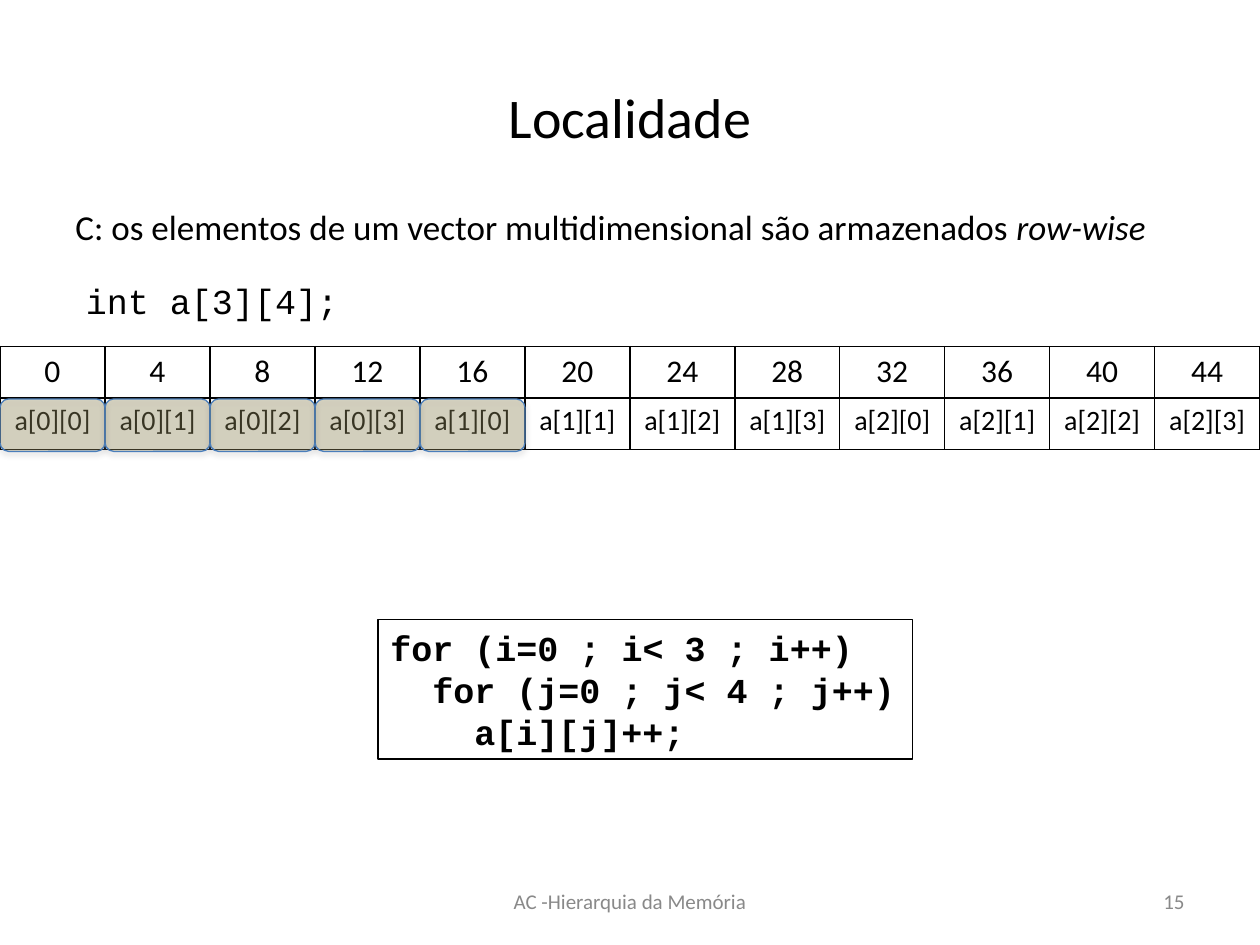
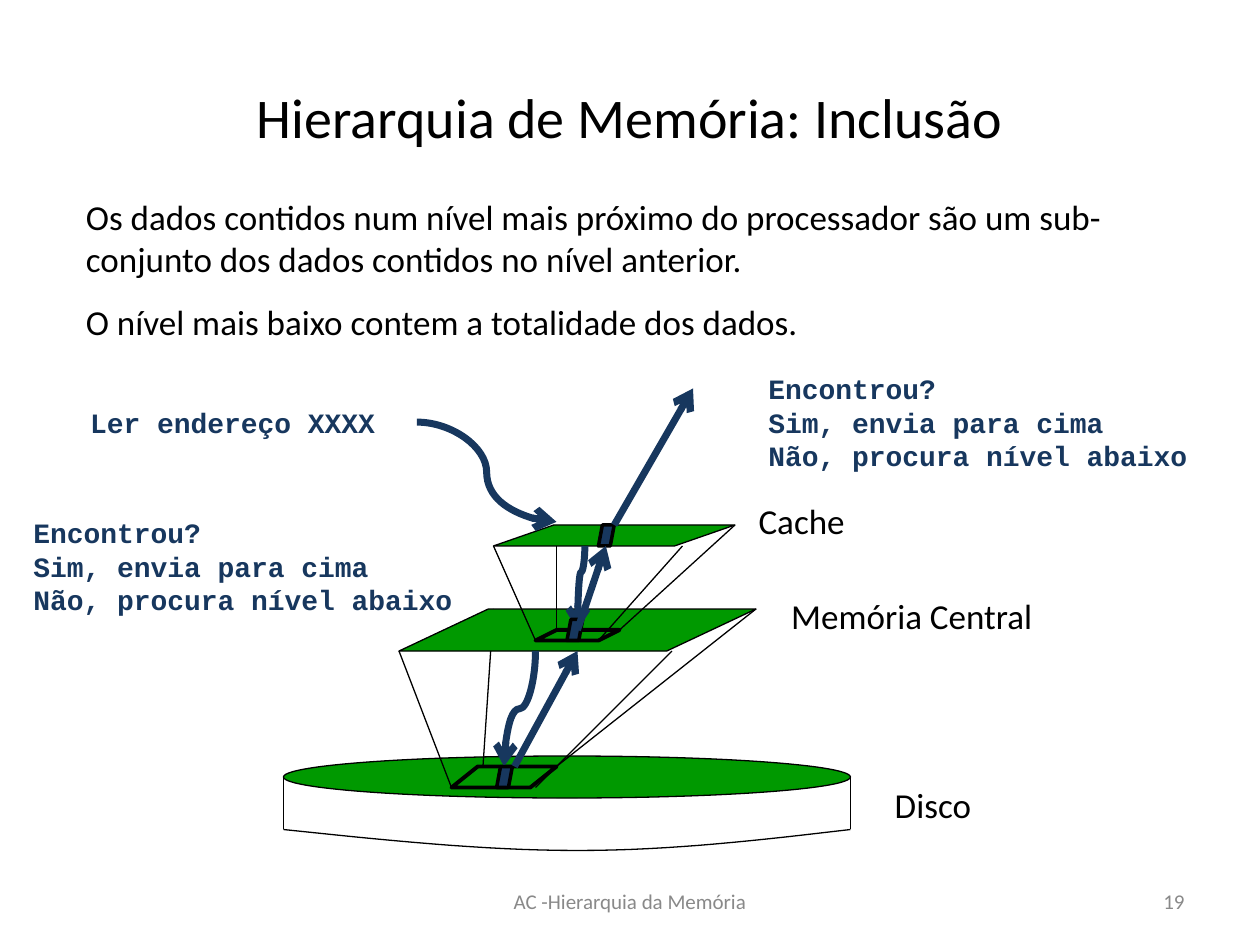
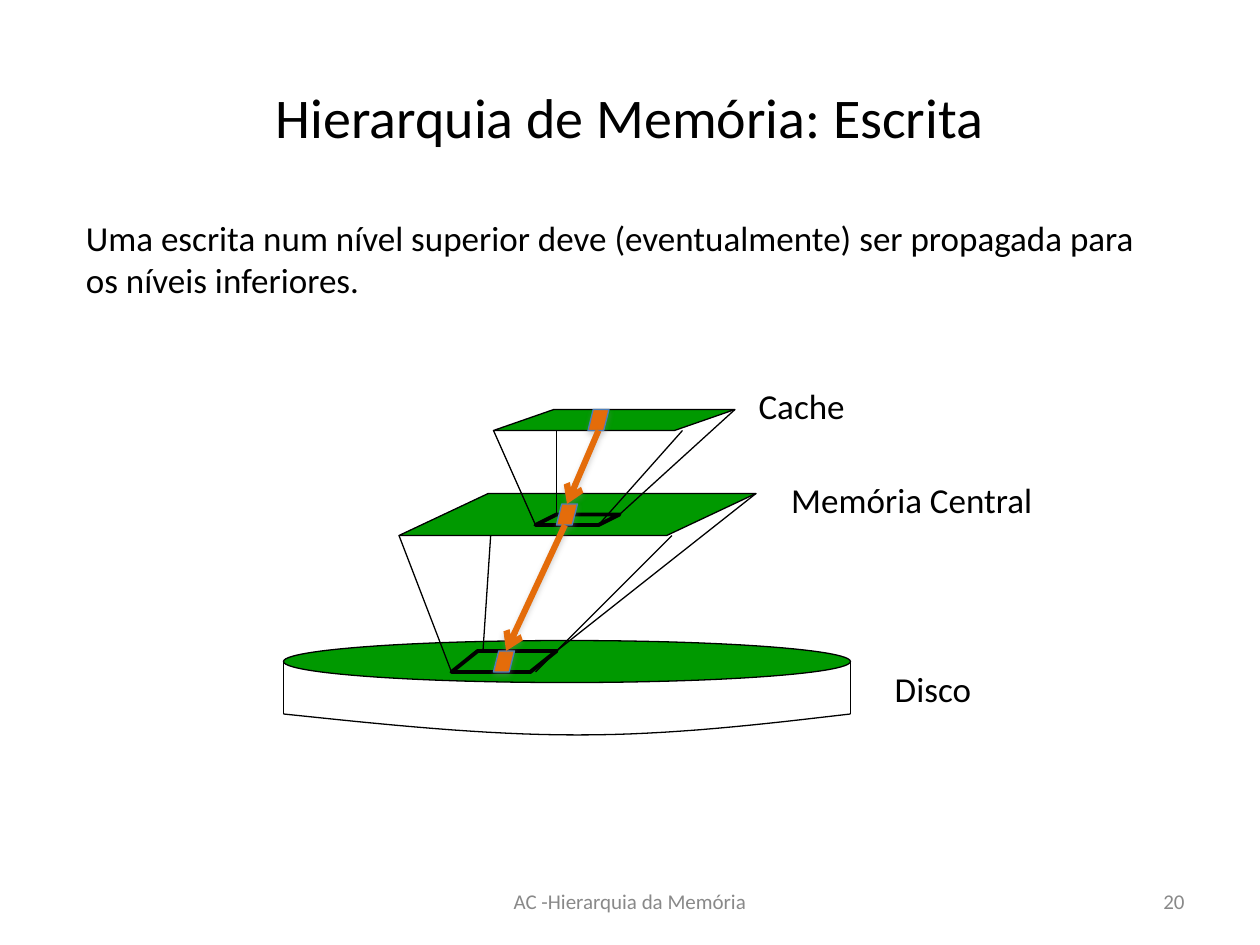
from lxml import etree
from pptx import Presentation, util as u
from pptx.dml.color import RGBColor
from pptx.enum import shapes, text
from pptx.oxml.ns import qn

SCALE = 7620  # EMU per px, 120 px to the inch
BLACK = RGBColor(0, 0, 0)
GRAY = RGBColor(0x89, 0x89, 0x89)
GREEN = RGBColor(0, 0x99, 0)
NAVY = RGBColor(0x17, 0x37, 0x5E)
ORANGE = RGBColor(0xE4, 0x6C, 0x0A)
KHAKI = RGBColor(0x94, 0x8A, 0x54)
BLUE = RGBColor(0x4A, 0x7E, 0xBB)
SHADE = RGBColor(0x80, 0x80, 0x80)
SANS, MONO = "Calibri", "Courier New"
LEFT, MID, RIGHT = text.PP_ALIGN.LEFT, text.PP_ALIGN.CENTER, text.PP_ALIGN.RIGHT
KIND = shapes.MSO_SHAPE
LINK = shapes.MSO_CONNECTOR
SEARCH = ["Encontrou?", "Sim, envia para cima", "Não, procura nível abaixo"]


def px(*nums):
    return [u.Emu(round(n * SCALE)) for n in nums]


def sub(node, tag, **attrs):
    child = etree.SubElement(node, qn(tag))
    for key, val in attrs.items():
        child.set(key, str(val))
    return child


def run(para, words, size, color=BLACK, font=SANS, bold=False, slant=False):
    part = para.add_run()
    part.text = words
    face = part.font
    face.size, face.name, face.bold, face.italic = u.Pt(size), font, bold, slant
    face.color.rgb = color


def paras(frame, lines, size, align=LEFT, gap=0, **look):
    """Write one paragraph per line, with gap points between them."""
    for i, line in enumerate(lines):
        para = frame.paragraphs[0] if i == 0 else frame.add_paragraph()
        para.alignment = align
        if i and gap:
            para.space_before = u.Pt(gap)
        run(para, line, size, **look)


def label(slide, box, lines, size=20, align=LEFT, wrap=True, mid=False, **look):
    frame = slide.shapes.add_textbox(*px(*box)).text_frame
    frame.word_wrap = wrap
    if mid:
        frame.vertical_anchor = text.MSO_ANCHOR.MIDDLE
    paras(frame, lines, size, align, **look)
    return frame


def shade(props, dist):
    """Add a soft shadow below, or none when dist is 0."""
    effect = props.find(qn("a:effectLst"))
    if effect is None:
        effect = sub(props, "a:effectLst")
    if dist:
        outer = sub(effect, "a:outerShdw", blurRad=40000, dist=dist,
                    dir=5400000, rotWithShape=0)
        sub(sub(outer, "a:srgbClr", val=SHADE), "a:alpha", val=35000)


def ink(shape, fill=None, line=BLACK, width=0.75):
    shape.shadow.inherit = False
    if fill is None:
        shape.fill.background()
    else:
        shape.fill.solid()
        shape.fill.fore_color.rgb = fill
    shape.line.color.rgb = line
    shape.line.width = u.Pt(width)


def block(slide, kind, box, fill=None, line=BLACK, width=0.75, adj=None, dist=0):
    shape = slide.shapes.add_shape(kind, *px(*box))
    ink(shape, fill, line, width)
    if adj is not None:
        shape.adjustments[0] = adj
    shade(shape._element.spPr, dist)
    return shape


def join(slide, start, end, color=BLACK, width=0.75, kind=LINK.STRAIGHT,
         head=False, dist=0):
    wire = slide.shapes.add_connector(kind, *px(*start, *end))
    wire.line.color.rgb = color
    wire.line.width = u.Pt(width)
    props = wire._element.spPr
    if head:
        sub(props.find(qn("a:ln")), "a:tailEnd", type="arrow")
    shade(props, dist)
    return wire


def arrow(slide, start, end, color=NAVY, width=4, **more):
    return join(slide, start, end, color, width, head=True, **more)


def drop(slide, start, end, bend=0.5):
    """Curved arrow that leaves downwards and ends to the left."""
    (x1, y1), (x2, y2) = start, end
    cx, cy, half, rise = (x1 + x2) / 2, (y1 + y2) / 2, (y2 - y1) / 2, (x1 - x2) / 2
    wire = arrow(slide, (cx - half, cy - rise), (cx + half, cy + rise),
                 kind=LINK.CURVE)
    props = wire._element.spPr
    props.find(qn("a:xfrm")).set("rot", "5400000")
    guides = props.find(qn("a:prstGeom")).get_or_add_avLst()
    sub(guides, "a:gd", name="adj1", fmla=f"val {round(bend * 100000)}")


def mark(slide, x, y, wide, fill, **look):
    block(slide, KIND.PARALLELOGRAM, (x, y, wide, 20), fill, adj=0.25, **look)


def level(slide, slab, foot, back, front):
    """A memory level, the part of the level below it holds, and the rays between."""
    for box, width in ((foot, 2.25), (slab, 0.75)):
        x, y, w, h = box
        skew = {foot: 50 if h == 20 else 20, slab: 85 if h == 40 else 57.5}[box]
        block(slide, KIND.PARALLELOGRAM, box, GREEN, width=width,
              adj=(skew / h) * (0.5 if box == foot and h == 20 else 1))


def sheet(slide, box, skew, width):
    block(slide, KIND.PARALLELOGRAM, box, GREEN, width=width, adj=skew)


def rays(slide, slab, foot, back, front):
    """Join slab to foot at the outer corners and at the given inner x pairs."""
    (sx, sy, sw, sh), (fx, fy, fw, fh) = slab, foot
    pairs = [((sx, sy + sh), (fx, fy + fh)), ((sx + sw, sy), (fx + fw, fy)),
             ((back[0], sy), (back[1], fy)), ((front[0], sy + sh), (front[1], fy + fh))]
    for start, end in pairs:
        join(slide, start, end)


def curve(p0, p1, p2, p3, steps=16):
    """Points of a cubic curve after its start."""
    for i in range(1, steps + 1):
        t = i / steps
        s = 1 - t
        yield tuple(s**3 * a + 3 * s * s * t * b + 3 * s * t * t * c + t**3 * d
                    for a, b, c, d in zip(p0, p1, p2, p3))


def disk(slide, y):
    block(slide, KIND.OVAL, (270, y, 540, 40), GREEN)
    for x in (270, 810):
        join(slide, (x, y + 20), (x, y + 70))
    low, deep = y + 70, y + 90
    rim = [*curve((270, low), (365, y + 80), (460, deep), (550, deep)),
           *curve((550, deep), (640, deep), (725, y + 80), (810, low))]
    path = slide.shapes.build_freeform(*px(270, low))
    path.add_line_segments([px(*dot) for dot in rim], close=False)
    ink(path.convert_to_shape())


def tower(slide, y):
    """The cache, main memory and disk, with the cache at height y."""
    disk(slide, y + 220)
    main_slab, main_foot = (380, y + 80, 340, 40), (430, y + 230, 100, 20)
    top_slab, top_foot = (470, y, 230, 20), (510, y + 100, 80, 10)
    sheet(slide, main_foot, 1.25, 2.25)
    rays(slide, main_slab, main_foot, (470, 460), (640, 510))
    sheet(slide, main_slab, 2.125, 0.75)
    sheet(slide, top_foot, 2, 2.25)
    rays(slide, top_slab, top_foot, (530, 530), (650, 570))
    sheet(slide, top_slab, 2.875, 0.75)
    for name, x, dy, wide in (("Disco", 840, 240, 97),
                              ("Memória Central", 740, 60, 257),
                              ("Cache", 710, -30, 107)):
        label(slide, (x, y + dy, wide, 53), [name], align=MID, wrap=False)


def edge(cell):
    props = cell._tc.get_or_add_tcPr()
    for i, side in enumerate(("a:lnL", "a:lnR", "a:lnT", "a:lnB")):
        line = etree.Element(qn(side), w="12700")
        sub(sub(line, "a:solidFill"), "a:srgbClr", val=BLACK)
        props.insert(i, line)


def grid(slide, box, rows):
    """Table of (texts, size) rows with equal columns."""
    table = slide.shapes.add_table(len(rows), len(rows[0][0]), *px(*box)).table
    table.first_row = table.horz_banding = False
    for r, (words, size) in enumerate(rows):
        for c, word in enumerate(words):
            cell = table.cell(r, c)
            cell.fill.background()
            paras(cell.text_frame, [word], size, MID)
            edge(cell)


def page(deck, title, number):
    slide = deck.slides.add_slide(deck.slide_layouts[6])
    label(slide, (60, 36, 1080, 150), [title], 32, MID, mid=True)
    label(slide, (410, 834, 380, 48), ["AC -Hierarquia da Memória"], 12, MID,
          mid=True, color=GRAY)
    label(slide, (860, 834, 280, 48), [str(number)], 12, RIGHT, mid=True, color=GRAY)
    return slide


def local(deck):
    slide = page(deck, "Localidade", 15)
    frame = label(slide, (60, 190, 1080, 70),
                  ["C: os elementos de um vector multidimensional são armazenados "])
    para = frame.paragraphs[0]
    para.space_before = u.Pt(4)
    run(para, "row-wise", 20, slant=True)
    label(slide, (70, 260, 266, 53), ["int a[3][4];"], wrap=False, font=MONO)
    grid(slide, (0, 330, 1200, 98),
         [([str(4 * i) for i in range(12)], 18),
          ([f"a[{i}][{j}]" for i in range(3) for j in range(4)], 16)])
    code = block(slide, KIND.RECTANGLE, (360, 590, 509, 133)).text_frame
    code.word_wrap = True
    paras(code, ["for (i=0 ; i< 3 ; i++)", "for (j=0 ; j< 4 ; j++)", "a[i][j]++;"],
          20, font=MONO, bold=True)
    for depth, para in enumerate(code.paragraphs):
        para._p.get_or_add_pPr().set("marL", str(u.Pt(24 * depth)))
    for i in range(5):
        tile = block(slide, KIND.ROUNDED_RECTANGLE, (100 * i, 380, 100, 50), KHAKI,
                     BLUE, dist=23000)
        tint = tile._element.spPr.find(qn("a:solidFill"))[0]
        sub(tint, "a:alpha", val=32000)


def nest(deck):
    slide = page(deck, "Hierarquia de Memória: Inclusão", 19)
    label(slide, (70, 180, 1056, 157),
          ["Os dados contidos num nível mais próximo do processador são um "
           "sub-conjunto dos dados contidos no nível anterior.",
           "O nível mais baixo contem a totalidade dos dados."], gap=12)
    tower(slide, 500)
    for box, lines in (((74, 380, 323, 44), ["Ler endereço XXXX"]),
                       ((720, 348, 440, 109), SEARCH),
                       ((20, 485, 440, 109), SEARCH)):
        label(slide, box, lines, 16, color=NAVY, font=MONO, bold=True)
    mark(slide, 570, 500, 15, NAVY, width=2)
    arrow(slide, (585, 500), (660, 370))
    drop(slide, (557, 520), (550, 600), 0.31)
    mark(slide, 540, 590, 15, NAVY, width=2)
    arrow(slide, (550, 600), (577, 520))
    drop(slide, (510, 620), (480, 730))
    mark(slide, 473, 730, 15, NAVY, width=2)
    arrow(slide, (490, 730), (550, 620))
    arrow(slide, (397, 402), (530, 497), kind=LINK.CURVE)


def write(deck):
    slide = page(deck, "Hierarquia de Memória: Escrita", 20)
    label(slide, (70, 200, 1056, 92),
          ["Uma escrita num nível superior deve (eventualmente) ser propagada "
           "para os níveis inferiores."])
    tower(slide, 390)
    for x, y in ((560, 390), (530, 480), (470, 620)):
        mark(slide, x, y, 20, ORANGE, line=BLUE, dist=23000)
    for start, end in (((570, 410), (540, 480)), ((538, 500), (482, 620))):
        arrow(slide, start, end, ORANGE, 3.5, dist=20000)


def main():
    deck = Presentation()
    deck.slide_width, deck.slide_height = px(1200, 900)
    local(deck)
    nest(deck)
    write(deck)
    deck.save("out.pptx")


if __name__ == "__main__":
    main()
